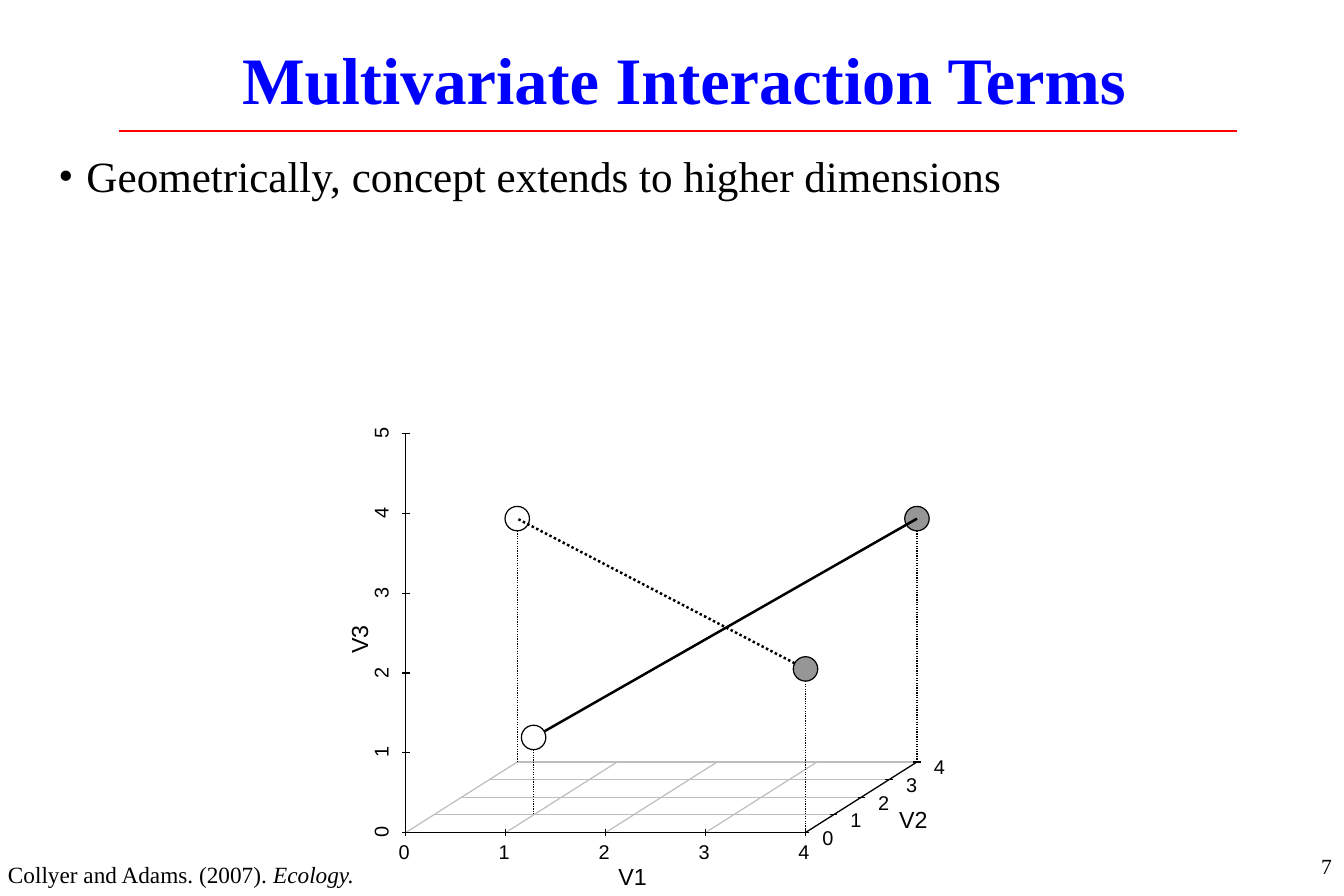
"""Build a slide with a three-dimensional plot of multivariate interaction terms."""
from math import hypot

from lxml.etree import SubElement
from pptx import Presentation
from pptx.dml.color import RGBColor
from pptx.enum.dml import MSO_LINE
from pptx.enum.shapes import MSO_CONNECTOR, MSO_SHAPE
from pptx.enum.text import MSO_ANCHOR, MSO_AUTO_SIZE, PP_ALIGN
from pptx.oxml.ns import qn
from pptx.util import Cm, Pt

BLACK, GRID, GREY, WHITE = "000000", "BEBEBE", "969696", "FFFFFF"
SERIF, SANS = "Times New Roman", "Arial"
ORIGIN_X, ORIGIN_Y = 8.63, 17.7
UNIT_V1 = 8.5 / 4
DEPTH_X, DEPTH_Y = 2.37 / 4, 1.5 / 4
UNIT_V3 = 8.48 / 5
RADIUS = 0.26
TICK = 0.08


def color(hex_code):
    """Turn a hex string into a colour."""
    return RGBColor.from_string(hex_code)


def project(v1, v2, v3):
    """Return the place on the slide, in centimetres, of a point in the plot."""
    return (ORIGIN_X + v1 * UNIT_V1 + v2 * DEPTH_X,
            ORIGIN_Y - v2 * DEPTH_Y - v3 * UNIT_V3)


def format_run(run, size, font, hex_code=BLACK, bold=False, italic=False):
    """Set the font of a run."""
    run.font.size = Pt(size)
    run.font.name = font
    run.font.color.rgb = color(hex_code)
    run.font.bold = bold
    run.font.italic = italic


def add_line(slide, start, end, hex_code=BLACK, width=0.75, dotted=False):
    """Draw a straight line between two places."""
    line = slide.shapes.add_connector(
        MSO_CONNECTOR.STRAIGHT, *(Cm(length) for length in (*start, *end)))
    line.line.color.rgb = color(hex_code)
    line.line.width = Pt(width)
    if dotted:
        line.line.dash_style = MSO_LINE.ROUND_DOT
    SubElement(line._element.spPr, qn("a:effectLst"))


def add_text(slide, box, text, size, font, align=PP_ALIGN.LEFT, wrap=True):
    """Add a one-paragraph text box and return it."""
    textbox = slide.shapes.add_textbox(*(Cm(length) for length in box))
    frame = textbox.text_frame
    frame.text = text
    frame.word_wrap = wrap
    paragraph = frame.paragraphs[0]
    paragraph.alignment = align
    format_run(paragraph.runs[0], size, font)
    return textbox


def add_tick_label(slide, center, text, rotation=0):
    """Centre a tick number on a place."""
    x, y = center
    label = add_text(slide, (x - 0.11, y - 0.25, 0.22, 0.5), text, 12, SANS,
                     PP_ALIGN.CENTER, wrap=False)
    frame = label.text_frame
    frame.margin_left = frame.margin_right = 0
    frame.margin_top = frame.margin_bottom = 0
    label.rotation = rotation


def add_title(slide, text):
    """Place the title and the rule below it."""
    title = slide.shapes.title
    title.left, title.top, title.width, title.height = (
        Cm(0.51), Cm(0.28), Cm(28.07), Cm(3.18))
    frame = title.text_frame
    frame.text = text
    frame.auto_size = MSO_AUTO_SIZE.NONE
    frame.vertical_anchor = MSO_ANCHOR.MIDDLE
    paragraph = frame.paragraphs[0]
    paragraph.alignment = PP_ALIGN.CENTER
    paragraph.line_spacing = 0.7
    format_run(paragraph.runs[0], 40, SERIF, "0000FF", bold=True)
    add_line(slide, (2.54, 2.79), (26.31, 2.79), "FF0000", 1.5)


def add_bullet(slide, text):
    """Add the bulleted statement."""
    statement = add_text(slide, (0.99, 3.18, 26.8, 1.24), text, 26, SERIF)
    paragraph = statement.text_frame.paragraphs[0]
    paragraph.line_spacing = 0.9
    properties = paragraph._p.get_or_add_pPr()
    properties.set("marL", str(Cm(0.6)))
    properties.set("indent", str(-Cm(0.6)))
    SubElement(properties, qn("a:buFont"), typeface=SERIF)
    SubElement(properties, qn("a:buChar"), char="•")


def add_floor(slide):
    """Draw the grid in the plane of V1 and V2."""
    for step in range(5):
        add_line(slide, project(step, 0, 0), project(step, 4, 0), GRID)
        add_line(slide, project(0, step, 0), project(4, step, 0), GRID)


def add_axis(slide, start, direction, steps, tick, offset, rotation=0):
    """Draw an axis with its ticks and numbers."""
    places = [project(*(s + step * d for s, d in zip(start, direction)))
              for step in range(steps + 1)]
    add_line(slide, places[0], places[-1])
    for number, (x, y) in enumerate(places):
        add_line(slide, (x - tick[0], y - tick[1]), (x + tick[0], y + tick[1]))
        add_tick_label(slide, (x + offset[0], y + offset[1]), str(number), rotation)


def add_marker(slide, point, fill):
    """Draw a data point as a circle."""
    x, y = project(*point)
    marker = slide.shapes.add_shape(
        MSO_SHAPE.OVAL, Cm(x - RADIUS), Cm(y - RADIUS), Cm(2 * RADIUS), Cm(2 * RADIUS))
    marker.shadow.inherit = False
    marker.fill.solid()
    marker.fill.fore_color.rgb = color(fill)
    marker.line.color.rgb = color(BLACK)
    marker.line.width = Pt(0.75)


def add_trend(slide, start, end, dotted=False):
    """Join the rim of one marker to the centre of another."""
    (x1, y1), (x2, y2) = project(*start), project(*end)
    share = RADIUS / hypot(x2 - x1, y2 - y1)
    rim = (x1 + share * (x2 - x1), y1 + share * (y2 - y1))
    add_line(slide, rim, (x2, y2), width=1.5, dotted=dotted)


def add_plot(slide):
    """Draw the plot of two crossing trends."""
    add_floor(slide)
    add_axis(slide, (0, 0, 0), (1, 0, 0), 4, (0, TICK), (-0.04, 0.41))
    add_axis(slide, (4, 0, 0), (0, 1, 0), 4, (TICK, 0), (0.47, 0.1))
    add_axis(slide, (0, 0, 0), (0, 0, 1), 5, (TICK, 0), (-0.54, 0), 270)

    solid_start, solid_end = (1, 1, 0.97), (4, 4, 3.05)
    dotted_start, dotted_end = (4, 0, 2.05), (0, 4, 3.05)
    markers = [(solid_end, GREY), (dotted_end, WHITE),
               (solid_start, WHITE), (dotted_start, GREY)]
    for point, _ in markers:
        add_line(slide, project(*point), project(*point[:2], 0), dotted=True)
    for point, fill in markers:
        add_marker(slide, point, fill)

    for name, box, rotation in [("V3", (6.73, 12.83, 1.8, 0.84), 270),
                                ("V1", (12.9, 18.21, 2, 0.84), 0),
                                ("V2", (18.87, 16.99, 1.85, 0.84), 0)]:
        add_text(slide, box, name, 14, SANS).rotation = rotation
    add_trend(slide, solid_start, solid_end)
    add_trend(slide, dotted_start, dotted_end, dotted=True)


def add_footer(slide):
    """Add the page number and the citation."""
    page = add_text(slide, (22.63, 17.78, 5.94, 1.27), "7", 13, SERIF, PP_ALIGN.RIGHT)
    page.text_frame.vertical_anchor = MSO_ANCHOR.MIDDLE
    citation = add_text(slide, (-0.08, 18.16, 8.64, 0.84),
                        "Collyer and Adams. (2007). ", 14, SERIF)
    journal = citation.text_frame.paragraphs[0].add_run()
    journal.text = "Ecology."
    format_run(journal, 14, SERIF, italic=True)


def main():
    """Build and save the presentation."""
    presentation = Presentation()
    presentation.slide_width, presentation.slide_height = Cm(28.58), Cm(19.05)
    slide = presentation.slides.add_slide(presentation.slide_layouts[5])
    add_title(slide, "Multivariate Interaction Terms")
    add_bullet(slide, "Geometrically, concept extends to higher dimensions")
    add_plot(slide)
    add_footer(slide)
    presentation.save("out.pptx")


if __name__ == "__main__":
    main()
